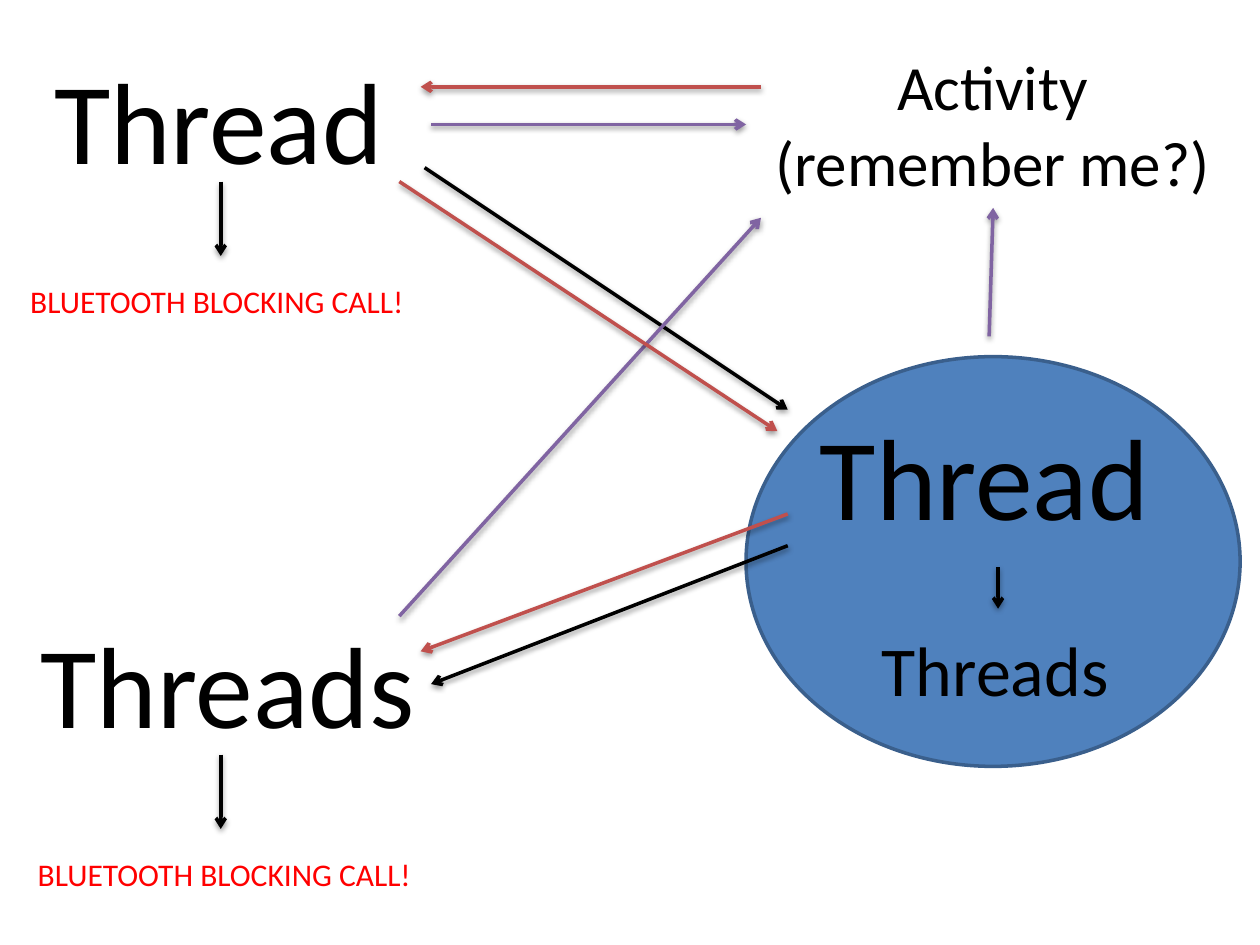
from lxml.etree import SubElement
from pptx import Presentation
from pptx.dml.color import RGBColor
from pptx.enum.shapes import MSO_CONNECTOR as Connector, MSO_SHAPE as Shape
from pptx.enum.text import MSO_AUTO_SIZE as AutoSize, PP_ALIGN as Align
from pptx.oxml import parse_xml
from pptx.oxml.ns import qn
from pptx.util import Cm, Pt

BLACK, RED, PURPLE, BRICK = "000000", "FF0000", "8064A2", "C0504D"
SHADOW = (
    '<a:effectLst xmlns:a="http://schemas.openxmlformats.org/drawingml/2006/main">'
    '<a:outerShdw blurRad="40000" dist="20000" dir="5400000" rotWithShape="0">'
    '<a:srgbClr val="000000"><a:alpha val="38000"/></a:srgbClr>'
    '</a:outerShdw></a:effectLst>'
)


def paint(color_format, color):
    color_format.rgb = RGBColor.from_string(color)


deck = Presentation()
deck.slide_width, deck.slide_height = Cm(25.4), Cm(19.05)
page = deck.slides.add_slide(deck.slide_layouts[6])

# Circle around the thread that starts further threads
circle = page.shapes.add_shape(Shape.OVAL, Cm(15.04), Cm(7.19), Cm(9.96), Cm(8.26))
circle.shadow.inherit = False
circle.fill.solid()
paint(circle.fill.fore_color, "4F81BD")
paint(circle.line.color, "3A5F8C")
circle.line.width = Pt(2)

# Labels: text, left, top, width, height, size, colour, alignment
labels = [
    ("Thread", 0.84, 0.86, 7.21, 3.07, 66, BLACK, Align.LEFT),
    ("Thread", 16.28, 8.05, 7.21, 3.07, 66, BLACK, Align.LEFT),
    ("Threads", 0.56, 12.24, 8.13, 3.07, 66, BLACK, Align.LEFT),
    ("Threads", 17.53, 12.5, 5.13, 1.96, 40, BLACK, Align.LEFT),
    ("BLUETOOTH BLOCKING CALL!", 0.36, 5.56, 8.13, 1.02, 18, RED, Align.LEFT),
    ("BLUETOOTH BLOCKING CALL!", 0.51, 17.12, 8.13, 1.02, 18, RED, Align.LEFT),
    ("Activity\n(remember me?)", 15.34, 0.84, 9.35, 3.33, 36, BLACK, Align.CENTER),
]
for text, left, top, width, height, size, color, alignment in labels:
    box = page.shapes.add_textbox(Cm(left), Cm(top), Cm(width), Cm(height))
    frame = box.text_frame
    frame.text = text
    frame.word_wrap = False
    frame.auto_size = AutoSize.SHAPE_TO_FIT_TEXT
    for para in frame.paragraphs:
        para.alignment = alignment
        for span in para.runs:
            span.font.name = "Calibri"
            span.font.size = Pt(size)
            paint(span.font.color, color)

# Arrows: colour, start x and y, end x and y
arrows = [
    (BLACK, 8.56, 3.38, 15.88, 8.26),
    (BLACK, 15.88, 11, 8.69, 13.79),
    (BLACK, 20.12, 11.43, 20.12, 12.27),
    (BLACK, 4.45, 15.21, 4.45, 16.71),
    (BLACK, 4.45, 3.66, 4.45, 5.16),
    (PURPLE, 8.69, 2.51, 15.04, 2.51),
    (PURPLE, 8.05, 12.42, 15.34, 4.39),
    (PURPLE, 19.94, 6.78, 20.02, 4.19),
    (BRICK, 15.34, 1.75, 8.48, 1.75),
    (BRICK, 8.05, 3.66, 15.67, 8.69),
    (BRICK, 15.88, 10.36, 8.48, 13.13),
]
for color, *ends in arrows:
    arrow = page.shapes.add_connector(Connector.STRAIGHT, *map(Cm, ends))
    paint(arrow.line.color, color)
    arrow.line.width = Pt(2)
    SubElement(arrow.line._get_or_add_ln(), qn("a:tailEnd"), type="arrow")
    arrow._element.spPr.append(parse_xml(SHADOW))

deck.save("out.pptx")
